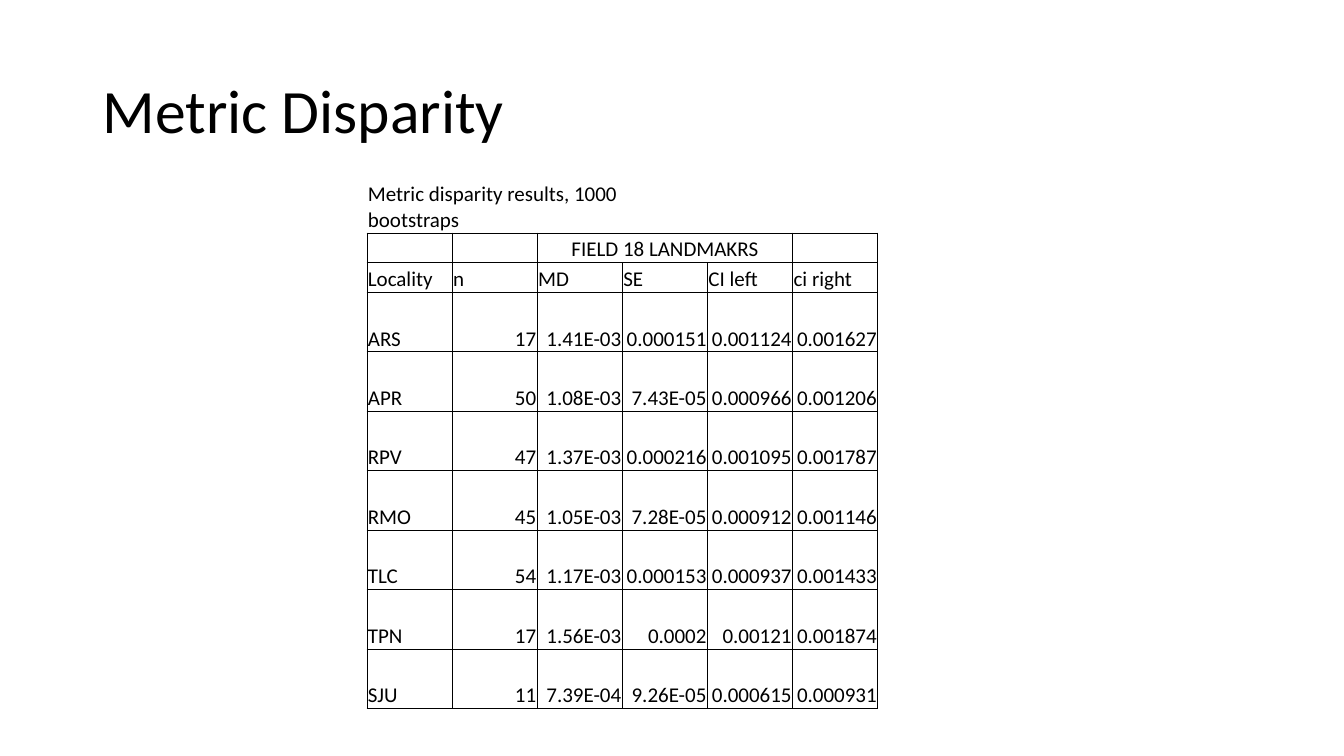
from lxml.etree import SubElement
from pptx import Presentation
from pptx.dml.color import RGBColor
from pptx.enum.text import MSO_ANCHOR as Anchor, PP_ALIGN as Align
from pptx.oxml.ns import qn
from pptx.util import Emu, Pt

PX_PER_INCH = 200
FONT = "Calibri"
BLACK = "000000"
COLUMN_WIDTH = 169
HEADER_HEIGHT = 59
ROW_HEIGHT = 118
CAPTION = "Metric disparity results, 1000 bootstraps"
GROUP = "FIELD 18 LANDMAKRS"
HEADINGS = ["Locality", "n", "MD", "SE", "CI left", "ci right"]
RESULTS = [
    ["ARS", "17", "1.41E-03", "0.000151", "0.001124", "0.001627"],
    ["APR", "50", "1.08E-03", "7.43E-05", "0.000966", "0.001206"],
    ["RPV", "47", "1.37E-03", "0.000216", "0.001095", "0.001787"],
    ["RMO", "45", "1.05E-03", "7.28E-05", "0.000912", "0.001146"],
    ["TLC", "54", "1.17E-03", "0.000153", "0.000937", "0.001433"],
    ["TPN", "17", "1.56E-03", "0.0002", "0.00121", "0.001874"],
    ["SJU", "11", "7.39E-04", "9.26E-05", "0.000615", "0.000931"],
]


def px(length):
    return Emu(length * 914400 // PX_PER_INCH)


def color(value):
    return RGBColor.from_string(value)


def style_paragraph(para, size, align):
    para.alignment = align
    para.font.name = FONT
    para.font.size = Pt(size)
    para.font.color.rgb = color(BLACK)


def add_title(page, text):
    title = page.shapes.title
    title.left, title.top, title.width, title.height = map(px, (184, 80, 2300, 290))
    frame = title.text_frame
    frame.text = text
    frame.vertical_anchor = Anchor.MIDDLE
    para = frame.paragraphs[0]
    style_paragraph(para, 44, Align.LEFT)
    para.line_spacing = 0.9


def set_borders(cell, sides):
    """Draw thin black lines on the given sides, in the order L, R, T, B."""
    properties = cell._tc.get_or_add_tcPr()
    for side in sides:
        line = SubElement(properties, qn(f"a:ln{side}"), w=str(Pt(0.5)))
        fill = SubElement(line, qn("a:solidFill"))
        SubElement(fill, qn("a:srgbClr"), val=BLACK)


def fill_cell(cell, text, align, sides):
    cell.text = text
    cell.vertical_anchor = Anchor.BOTTOM
    cell.margin_left = cell.margin_right = cell.margin_top = px(2)
    cell.margin_bottom = 0
    style_paragraph(cell.text_frame.paragraphs[0], 15, align)
    set_borders(cell, sides)
    cell.fill.background()


def cell_align(row, column):
    if row == 1:
        return Align.CENTER
    return Align.RIGHT if row > 2 and column > 0 else Align.LEFT


def add_results_table(page):
    rows = [
        [CAPTION, "", "", "", "", ""],
        ["", "", GROUP, "", "", ""],
        HEADINGS,
        *RESULTS,
    ]
    heights = [ROW_HEIGHT, HEADER_HEIGHT, HEADER_HEIGHT] + [ROW_HEIGHT] * len(RESULTS)
    frame = page.shapes.add_table(
        len(rows), len(HEADINGS), px(728), px(344),
        px(COLUMN_WIDTH * len(HEADINGS)), px(sum(heights)))
    table = frame.table
    table.first_row = table.horz_banding = False
    for column in table.columns:
        column.width = px(COLUMN_WIDTH)
    for row, height in zip(table.rows, heights):
        row.height = px(height)
    for row, texts in enumerate(rows):
        for column, text in enumerate(texts):
            fill_cell(table.cell(row, column), text, cell_align(row, column),
                      "LRTB" if row else "B")
    table.cell(0, 0).merge(table.cell(0, 3))
    table.cell(1, 2).merge(table.cell(1, 4))
    style = frame._element.find(".//" + qn("a:tableStyleId"))
    style.text = "{2D5ABB26-0587-4C30-8999-92F81FD0307C}"


def main():
    deck = Presentation()
    deck.slide_width, deck.slide_height = px(2667), px(1500)
    page = deck.slides.add_slide(deck.slide_layouts[5])
    add_title(page, "Metric Disparity")
    add_results_table(page)
    deck.save("out.pptx")


if __name__ == "__main__":
    main()
